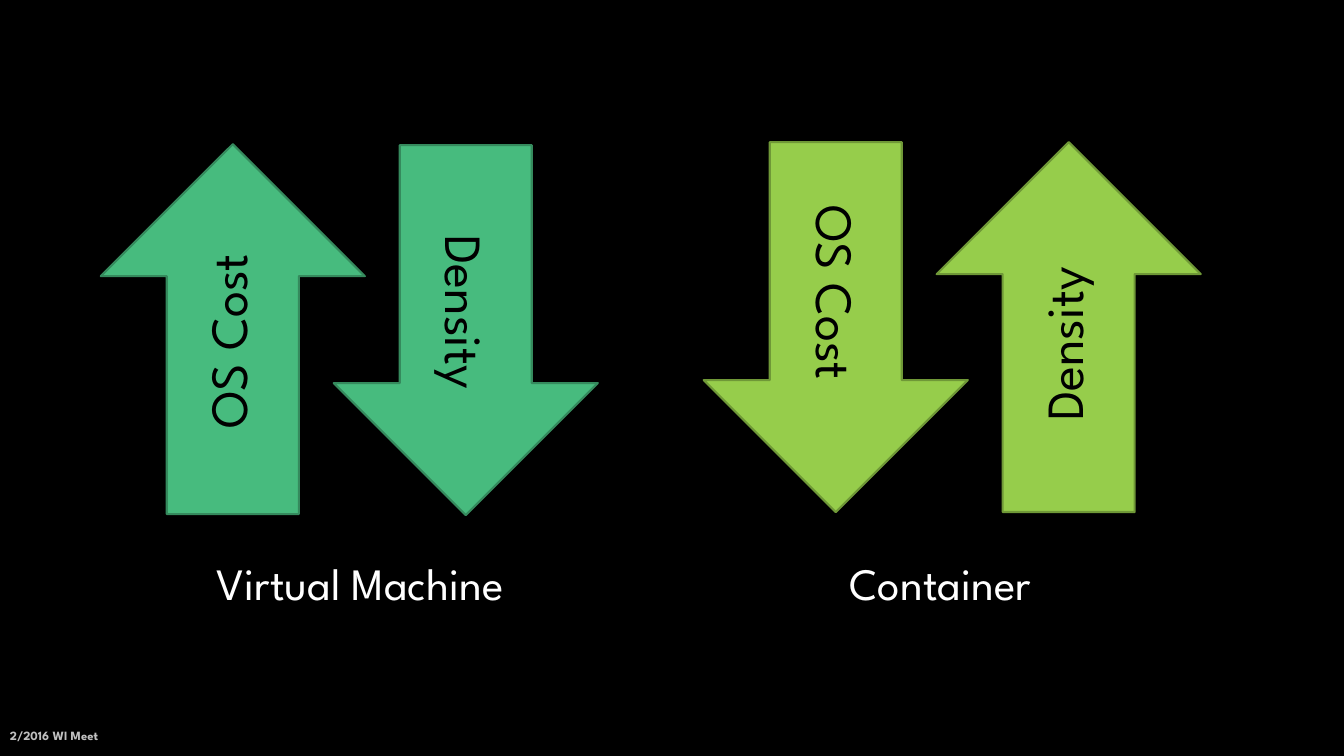
"""Build a slide comparing OS cost and density of virtual machines and containers."""
import pptx
import pptx.dml.color
import pptx.enum.shapes
import pptx.enum.text
import pptx.util

FONT = "League Spartan"
BLACK, WHITE, GREY = "000000", "FFFFFF", "BFBFBF"
GREEN, LIME = ("47BB7E", "358A5D"), ("96CD4B", "6F9837")

presentation = pptx.Presentation()
presentation.slide_width = pptx.util.Inches(13.33)
presentation.slide_height = pptx.util.Inches(7.5)
column = presentation.slide_width / 100
row = presentation.slide_height / 100


def color(hex_code):
    """Turn a hex string into a colour."""
    return pptx.dml.color.RGBColor.from_string(hex_code)


def add_text(shapes, text, left, top, width, height, size, hex_code):
    """Add a one-line text box placed in columns and rows."""
    box = shapes.add_textbox(
        int(left * column), int(top * row), int(width * column), int(height * row)
    )
    frame = box.text_frame
    frame.word_wrap = False
    frame.auto_size = pptx.enum.text.MSO_AUTO_SIZE.SHAPE_TO_FIT_TEXT
    paragraph = frame.paragraphs[0]
    paragraph.text = text
    paragraph.font.name = FONT
    paragraph.font.size = pptx.util.Pt(size)
    paragraph.font.color.rgb = color(hex_code)
    return box


slide = presentation.slides.add_slide(presentation.slide_layouts[6])
slide.background.fill.solid()
slide.background.fill.fore_color.rgb = color(BLACK)

ARROW_WIDTH, ARROW_HEIGHT = 19.65, 48.93
LABEL_WIDTHS = {"OS Cost": 16.58, "Density": 15.15}
LABEL_HEIGHT = 9.73

arrows = [
    ("OS Cost", "up", GREEN, 7.5, 19.07, 16.92, 43.27),
    ("Density", "down", GREEN, 24.83, 19.2, 34.66, 43.27),
    ("OS Cost", "down", LIME, 52.36, 18.8, 62.23, 40.6),
    ("Density", "up", LIME, 69.69, 18.8, 79.07, 43.53),
]
for label, direction, (fill, outline), left, top, center, middle in arrows:
    group = slide.shapes.add_group_shape()
    arrow = group.shapes.add_shape(
        pptx.enum.shapes.MSO_SHAPE.UP_ARROW,
        int(left * column), int(top * row),
        int(ARROW_WIDTH * column), int(ARROW_HEIGHT * row),
    )
    arrow.shadow.inherit = False
    arrow.rotation = 0 if direction == "up" else 180
    arrow.fill.solid()
    arrow.fill.fore_color.rgb = color(fill)
    arrow.line.color.rgb = color(outline)
    arrow.line.width = pptx.util.Pt(1.5)

    width = LABEL_WIDTHS[label]
    box = add_text(group.shapes, label, center - width / 2, middle - LABEL_HEIGHT / 2,
                   width, LABEL_HEIGHT, 37.3, BLACK)
    box.rotation = 270 if direction == "up" else 90

for caption, left, width in [("Virtual Machine", 15.38, 27.23), ("Container", 62.49, 17.85)]:
    add_text(slide.shapes, caption, left, 72.8, width, 8.53, 32, WHITE)

footer = add_text(slide.shapes, "2/2016 WI Meet", 0, 94.67, 61.89, 5.33, 9, GREY)
footer.text_frame.word_wrap = True
footer.text_frame.auto_size = pptx.enum.text.MSO_AUTO_SIZE.NONE
footer.text_frame.vertical_anchor = pptx.enum.text.MSO_ANCHOR.MIDDLE
footer.text_frame.paragraphs[0].font.bold = True

presentation.save("out.pptx")
